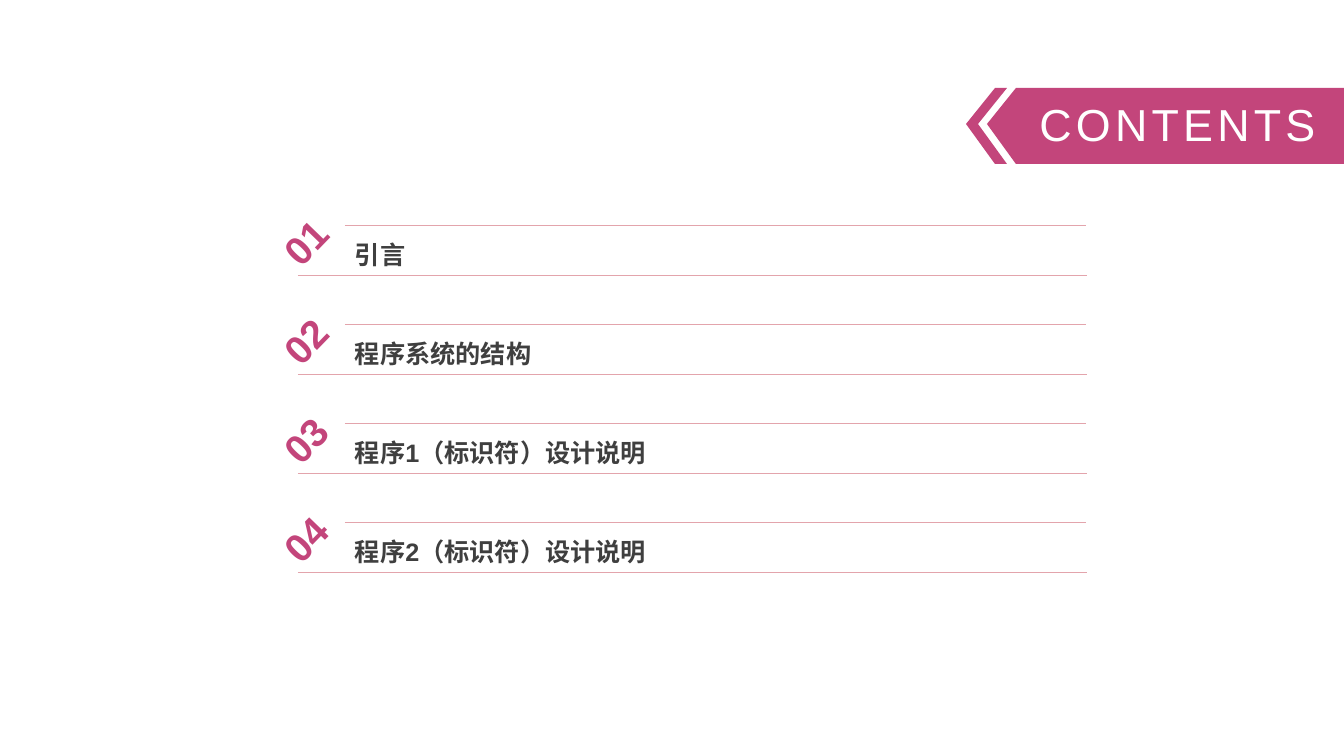
from lxml import etree
from pptx import Presentation
from pptx.dml.color import RGBColor
from pptx.enum import lang, shapes, text
from pptx.oxml.ns import qn
from pptx import util as u

EMU_PER_PX = 12192000 / 1344
PINK, ROSE, DARK, WHITE = "C3457B", "E3A4AC", "3F3F3F", "FFFFFF"


def px(length):
    return u.Emu(round(length * EMU_PER_PX))


def color(hex_value):
    return RGBColor.from_string(hex_value)


class ContentsSlide:
    font_name = "Arial"

    def __init__(self, presentation):
        self.slide = presentation.slides.add_slide(presentation.slide_layouts[5])
        self.shapes = self.slide.shapes

    def fill_text(self, shape, words, size, hex_value, insets, bold=False,
                  align=text.PP_ALIGN.LEFT, anchor=text.MSO_ANCHOR.MIDDLE):
        frame = shape.text_frame
        frame.text = words
        frame.word_wrap = True
        frame.auto_size = text.MSO_AUTO_SIZE.NONE
        frame.vertical_anchor = anchor
        (frame.margin_left, frame.margin_top,
         frame.margin_right, frame.margin_bottom) = map(px, insets)
        paragraph = frame.paragraphs[0]
        paragraph.alignment = align
        font = paragraph.runs[0].font
        font.name, font.size, font.bold = self.font_name, u.Pt(size), bold
        font.color.rgb = color(hex_value)
        return paragraph

    def textbox(self, box, words, size, hex_value, insets, **style):
        shape = self.shapes.add_textbox(*map(px, box))
        return shape, self.fill_text(shape, words, size, hex_value, insets, **style)

    def title(self, box, words, size, hex_value, insets, spacing):
        shape = self.shapes.title
        shape.left, shape.top, shape.width, shape.height = map(px, box)
        paragraph = self.fill_text(shape, words, size, hex_value, insets,
                                   align=text.PP_ALIGN.CENTER)
        paragraph.runs[0].font._element.set("spc", str(spacing * 100))
        self.shapes._spTree.append(shape._element)  # bring in front of the banner

    def rule(self, left, right, y):
        line = self.shapes.add_connector(shapes.MSO_CONNECTOR.STRAIGHT,
                                         px(left), px(y), px(right), px(y))
        line.line.color.rgb = color(ROSE)
        line.line.width = u.Pt(0.5)
        etree.SubElement(line._element.spPr, qn("a:effectLst"))

    def polygon(self, points, hex_value):
        builder = self.shapes.build_freeform(*points[0], scale=EMU_PER_PX)
        builder.add_line_segments(points[1:], close=True)
        shape = builder.convert_to_shape()
        shape.shadow.inherit = False
        shape.fill.solid()
        shape.fill.fore_color.rgb = color(hex_value)
        shape.line.fill.background()

    def entry(self, number, words, top):
        self.rule(298, 1087, top + 50)
        self.rule(345, 1086, top)
        badge, _ = self.textbox((262, top - 10, 86, 53), f"{number:02}", 28, PINK,
                                (0, 0, 0, 0), bold=True, align=text.PP_ALIGN.CENTER)
        badge.rotation = 314.1
        _, paragraph = self.textbox((325, top, 727, 49), words, 18, DARK,
                                    (30, 5, 10, 5), bold=True,
                                    anchor=text.MSO_ANCHOR.TOP)
        paragraph.line_spacing = 1.3
        paragraph.runs[0].font.language_id = lang.MSO_LANGUAGE_ID.SIMPLIFIED_CHINESE


def main():
    presentation = Presentation()
    presentation.slide_width, presentation.slide_height = px(1344), px(756)
    contents = ContentsSlide(presentation)

    # Numbered entries
    entries = ["引言", "程序系统的结构", "程序1（标识符）设计说明", "程序2（标识符）设计说明"]
    for index, words in enumerate(entries):
        contents.entry(index + 1, words, 225 + 99 * index)

    # Banner with chevron and title
    contents.polygon([(1016, 88), (1344, 88), (1344, 164), (1016, 164), (987, 124)], PINK)
    contents.polygon([(995, 88), (1007, 88), (978, 124),
                      (1007, 164), (995, 164), (966, 124)], PINK)
    contents.title((987, 88, 357, 76), "CONTENTS", 32, WHITE, (24, 0, 0, 4), spacing=3)

    presentation.save("out.pptx")


if __name__ == "__main__":
    main()
